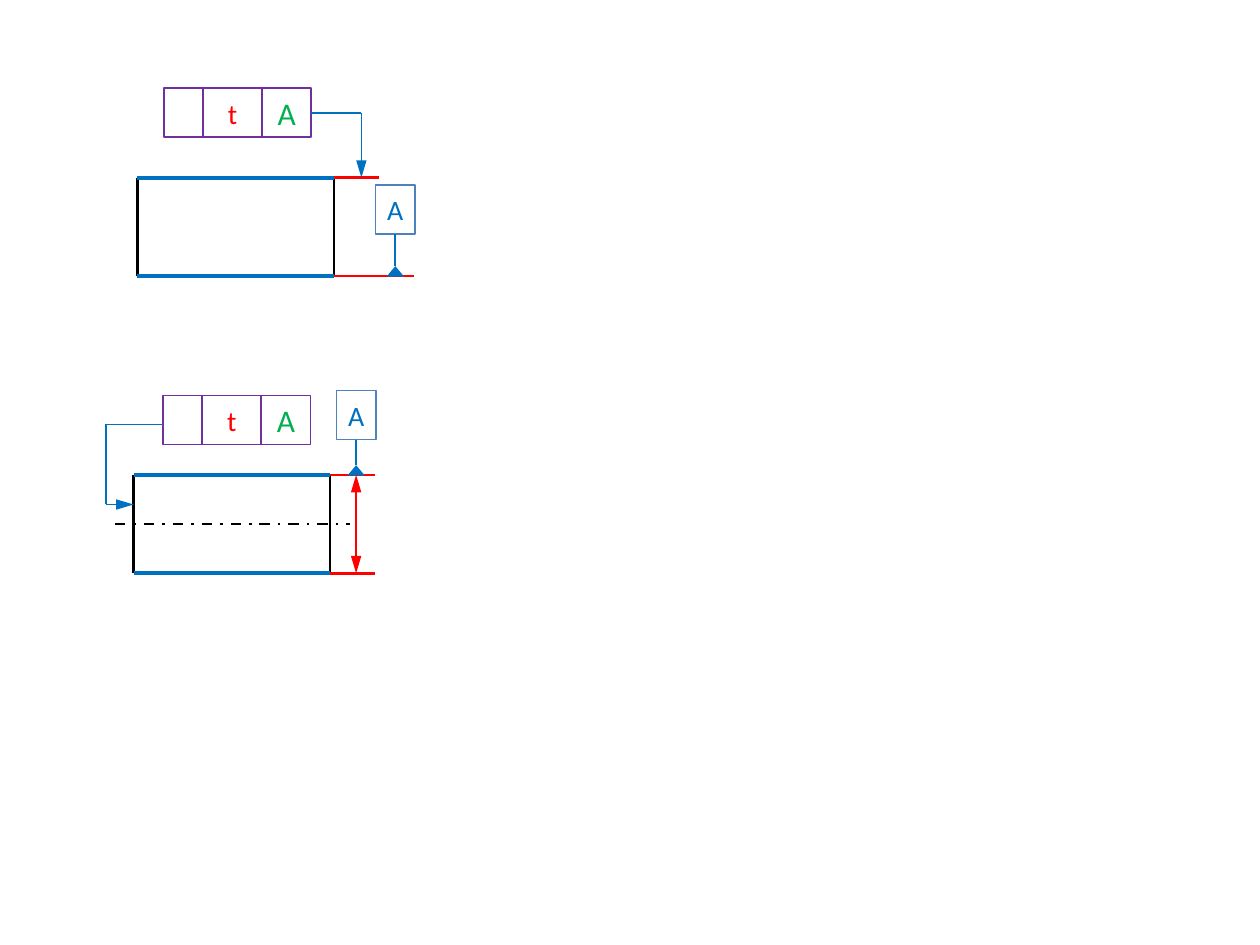
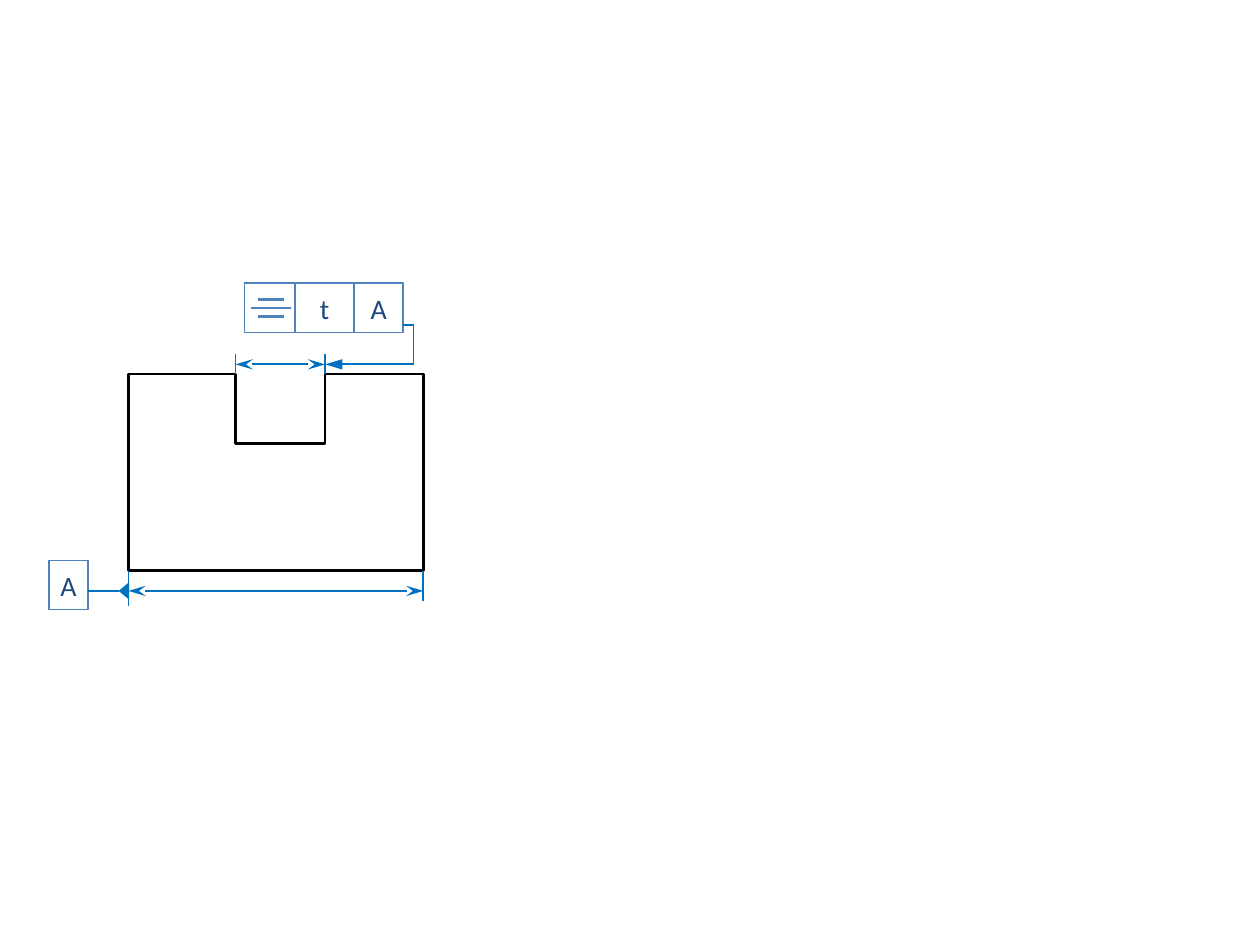
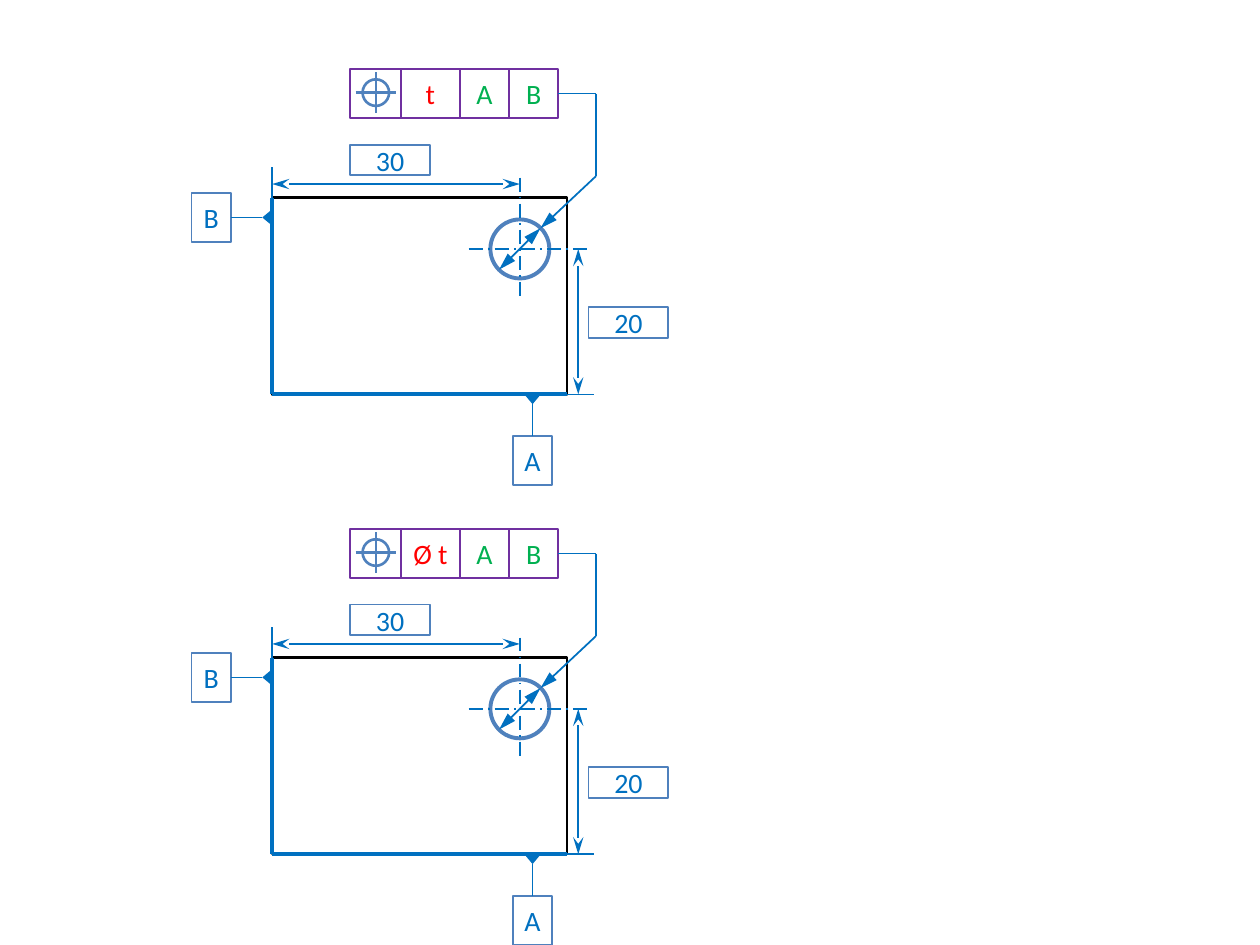
from dataclasses import dataclass
from typing import Any

from lxml import etree
from pptx import Presentation
from pptx.dml.color import RGBColor
from pptx.enum.dml import MSO_LINE
from pptx.enum.shapes import MSO_CONNECTOR, MSO_SHAPE
from pptx.enum.text import MSO_ANCHOR, PP_ALIGN
from pptx.oxml.ns import qn
from pptx.util import Inches, Pt

STRAIGHT = MSO_CONNECTOR.STRAIGHT
RECTANGLE, OVAL = MSO_SHAPE.RECTANGLE, MSO_SHAPE.OVAL
DASH_DOT, LONG_DASH_DOT = MSO_LINE.DASH_DOT, MSO_LINE.LONG_DASH_DOT
MIDDLE, CENTER = MSO_ANCHOR.MIDDLE, PP_ALIGN.CENTER
TOP, LEFT, BOTTOM, RIGHT = range(4)

COLORS = {
    "outline": "000000",
    "feature": "0070C0",
    "extension": "FF0000",
    "frame": "7030A0",
    "box": "4F81BD",
    "tolerance": "FF0000",
    "reference": "00B050",
    "dark": "1F497D",
}
FONT = "Calibri"
GRID = 0.39  # inches per column and per row
THIN, MEDIUM, THICK = 1, 1.5, 2.25
DATUM_HEIGHT = 0.2
# Arrowheads: type, width, length
ARROW = ("triangle", "med", "lg")
DIMENSION = ("stealth", "med", "lg")
TRIANGLE = ("triangle", "lg", "med")


def rgb(name):
    return RGBColor.from_string(COLORS[name])


def write(shape, text, color="feature", size=16):
    frame = shape.text_frame
    frame.word_wrap = False
    frame.vertical_anchor = MIDDLE
    frame.margin_left = frame.margin_right = frame.margin_top = frame.margin_bottom = 0
    paragraph = frame.paragraphs[0]
    paragraph.text = text
    paragraph.alignment = CENTER
    paragraph.font.name = FONT
    paragraph.font.size = Pt(size)
    paragraph.font.color.rgb = rgb(color)


@dataclass
class Region:
    """A drawing area whose origin is the top left corner of its plate."""
    slide: Any
    left: float
    top: float

    def position(self, column, row):
        return Inches(self.left + column * GRID), Inches(self.top + row * GRID)

    def style(self, shape, color, width):
        shape.shadow.inherit = False
        shape.fill.background()
        shape.line.color.rgb = rgb(color)
        shape.line.width = Pt(width)

    def shape(self, kind, column, row, columns, rows, color="box", width=THIN):
        shape = self.slide.shapes.add_shape(
            kind, *self.position(column, row), Inches(columns * GRID), Inches(rows * GRID))
        self.style(shape, color, width)
        return shape

    def circle(self, column, row, radius, width):
        return self.shape(OVAL, column - radius, row - radius, 2 * radius, 2 * radius, width=width)

    def line(self, start, end, color="feature", width=THIN, dash=None, head=None, tail=None):
        connector = self.slide.shapes.add_connector(
            STRAIGHT, *self.position(*start), *self.position(*end))
        connector.line.color.rgb = rgb(color)
        connector.line.width = Pt(width)
        if dash:
            connector.line.dash_style = dash
        properties = connector._element.spPr
        for tag, arrow in (("a:headEnd", head), ("a:tailEnd", tail)):
            if arrow:
                kind, across, along = arrow
                etree.SubElement(properties.find(qn("a:ln")), qn(tag),
                                 type=kind, w=across, len=along)
        etree.SubElement(properties, qn("a:effectLst"))
        return connector

    def leader(self, *points):
        """Chain of lines with an arrow at the last point; returns the first line."""
        pairs = list(zip(points, points[1:]))
        lines = [self.line(start, end, tail=ARROW if index == len(pairs) else None)
                 for index, (start, end) in enumerate(pairs, 1)]
        return lines[0]

    def dimension(self, start, end, color="feature", width=THIN, arrow=DIMENSION):
        self.line(start, end, color, width, head=arrow, tail=arrow)

    def outline(self, points):
        first, *others = [self.position(*point) for point in points]
        builder = self.slide.shapes.build_freeform(*first)
        builder.add_line_segments(others, close=True)
        self.style(builder.convert_to_shape(), "outline", MEDIUM)

    def datum(self, letter, column, row, tip, side, color="feature"):
        """Lettered box with a stem from one side to a triangle at the tip."""
        columns, rows = 0.8, 1
        box = self.shape(RECTANGLE, column, row, columns, rows)
        write(box, letter, color)
        tip_column, tip_row = tip
        if side in (TOP, BOTTOM):
            sign = 1 if side == TOP else -1
            start = (tip_column, row if side == TOP else row + rows)
            apex = (tip_column, tip_row + sign * DATUM_HEIGHT)
            offset = tip_column - (column + columns / 2)
        else:
            sign = 1 if side == LEFT else -1
            start = (column if side == LEFT else column + columns, tip_row)
            apex = (tip_column + sign * DATUM_HEIGHT, tip_row)
            offset = tip_row - (row + rows / 2)
        stem = self.line(start, apex)
        if abs(offset) < 0.01:
            stem.begin_connect(box, side)
        self.line(tip, apex, tail=TRIANGLE)

    def control_frame(self, column, row, cells, color="frame"):
        """Row of cells, each given as columns, text, text color and size."""
        boxes = []
        for columns, text, text_color, size in cells:
            box = self.shape(RECTANGLE, column, row, columns, 1, color)
            if text:
                write(box, text, text_color, size)
            boxes.append(box)
            column += columns
        return boxes


PARALLEL_CELLS = [(0.8, "", "", 16), (1.2, "t", "tolerance", 16), (1, "A", "reference", 18)]


def flat_plate(region, extensions):
    """Plate of 4 x 2 cells with extension lines beside its two blue faces."""
    for column in (0, 4):
        region.line((column, 2), (column, 0), "outline", MEDIUM)
    for row, extension in zip((0, 2), extensions):
        region.line((0, row), (4, row), width=THICK)
        region.line((4, row), (extension, row), "extension", MEDIUM)


def surface_plate(region):
    flat_plate(region, (4.92, 5.64))
    frame = region.control_frame(0.54, -1.82, PARALLEL_CELLS)
    first = region.leader((3.54, -1.32), (4.56, -1.32), (4.56, 0))
    first.begin_connect(frame[-1], RIGHT)
    region.datum("A", 4.85, 0.15, (5.25, 2), BOTTOM)


def median_plate(region):
    flat_plate(region, (4.92, 4.92))
    region.line((-0.38, 1), (4.41, 1), "outline", MEDIUM, DASH_DOT)
    region.control_frame(0.6, -1.62, PARALLEL_CELLS)
    region.leader((0.6, -1.03), (-0.56, -1.03), (-0.56, 0.6), (0, 0.6))
    region.datum("A", 4.13, -1.72, (4.53, 0), BOTTOM)
    region.dimension((4.53, 2), (4.53, 0), "extension", MEDIUM, ARROW)


def slotted_block(region):
    width, height, slot_left, slot_right, depth = 6, 4, 2.18, 4, 1.41
    region.outline([(0, 0), (slot_left, 0), (slot_left, depth), (slot_right, depth),
                    (slot_right, 0), (width, 0), (width, height), (0, height)])
    # Dimensions of slot and block
    for column in (slot_left, slot_right):
        region.line((column, -0.41), (column, 0))
    for column, end in ((0, 4.72), (width, 4.62)):
        region.line((column, height), (column, end))
    region.dimension((slot_right, -0.2), (slot_left, -0.2))
    region.dimension((width, 4.41), (0, 4.41))
    region.datum("A", -1.62, 3.79, (0, 4.41), RIGHT, "dark")
    # Control frame with the symmetry symbol
    region.control_frame(2.36, -1.85, [(1.03, "", "", 16), (1.2, "t", "dark", 16),
                                       (1, "A", "dark", 16)], "box")
    for row, half in ((-1.52, 0.26), (-1.35, 0.41), (-1.18, 0.26)):
        region.line((2.9 - half, row), (2.9 + half, row), "box", MEDIUM)
    region.leader((5.59, -1), (5.8, -1), (5.8, -0.2), (slot_right, -0.2))


def drilled_plate(region, tolerance):
    width, height = 6, 4
    hole_column, hole_row = 5.04, 1.04
    region.shape(RECTANGLE, 0, 0, width, height, "outline", MEDIUM)
    region.line((0, height), (width, height), width=THICK)
    region.line((0, height), (0, 0), width=THICK)
    region.datum("A", 4.9, 4.85, (5.3, height), TOP)
    region.datum("B", -1.64, -0.1, (0, 0.4), RIGHT)
    # Hole with its centre lines and diameter
    region.circle(hole_column, hole_row, 0.6, THICK)
    region.line((4, hole_row), (6.44, hole_row), dash=LONG_DASH_DOT)
    region.line((hole_column, -0.41), (hole_column, 2.03), dash=LONG_DASH_DOT)
    reach = 0.42
    edge = (hole_column + reach, hole_row - reach)
    region.dimension(edge, (hole_column - reach, hole_row + reach), arrow=ARROW)
    # Exact distances to the datums
    region.line((width, height), (6.56, height))
    region.line((0, 0), (0, -0.62))
    region.dimension((6.23, height), (6.23, hole_row))
    region.dimension((hole_column, -0.28), (0, -0.28))
    for value, column, row in (("30", 1.59, -1.08), ("20", 6.44, 2.23)):
        write(region.shape(RECTANGLE, column, row, 1.62, 0.62), value)
    # Control frame with the position symbol
    frame = region.control_frame(1.59, -2.62, [
        (1.03, "", "", 16), (1.2, tolerance, "tolerance", 16),
        (1, "A", "reference", 16), (1, "B", "reference", 16)])
    column, row, half = 2.11, -2.14, 0.41
    region.circle(column, row, 0.27, MEDIUM)
    region.line((column - half, row), (column + half, row), "box", MEDIUM)
    region.line((column, row - half), (column, row + half), "box", MEDIUM)
    first = region.leader((5.82, -2.12), (6.59, -2.12), (6.59, -0.44), edge)
    first.begin_connect(frame[-1], RIGHT)


def main():
    presentation = Presentation()
    presentation.slide_width, presentation.slide_height = Inches(10), Inches(7.5)
    blank = presentation.slide_layouts[6]
    parallelism, symmetry, position = [presentation.slides.add_slide(blank) for _ in range(3)]

    surface_plate(Region(parallelism, 1.09, 1.41))
    median_plate(Region(parallelism, 1.06, 3.77))
    slotted_block(Region(symmetry, 1.02, 2.97))
    for top, tolerance in ((1.57, "t"), (5.22, "Ø t")):
        drilled_plate(Region(position, 2.16, top), tolerance)

    presentation.save("out.pptx")


if __name__ == "__main__":
    main()
